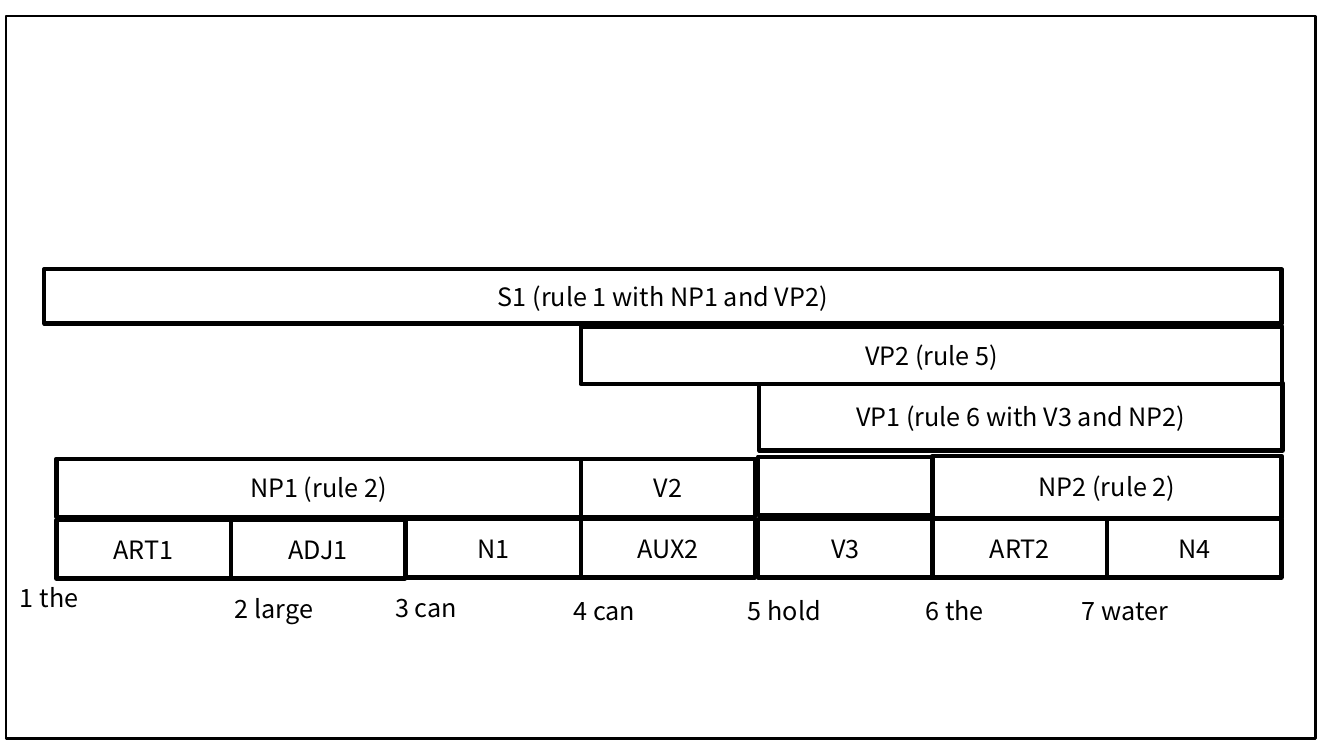
from pptx import Presentation
from pptx.dml.color import RGBColor
from pptx.enum.shapes import MSO_SHAPE
from pptx.enum.text import MSO_ANCHOR, PP_ALIGN
from pptx.util import Inches, Pt

RECTANGLE = MSO_SHAPE.RECTANGLE
MIDDLE = MSO_ANCHOR.MIDDLE
CENTER = PP_ALIGN.CENTER
BLACK = RGBColor.from_string("000000")
WHITE = RGBColor.from_string("FFFFFF")
FONT = "Noto Sans CJK KR"

prs = Presentation()
prs.slide_width = Inches(13.33)
prs.slide_height = Inches(7.5)
slide = prs.slides.add_slide(prs.slide_layouts[6])


def write(frame, text):
    paragraph = frame.paragraphs[0]
    paragraph.text = text
    font = paragraph.runs[0].font
    font.name, font.size = FONT, Pt(18)
    font.color.rgb = BLACK
    return paragraph


def add_box(left, top, width, height, line_width):
    box = slide.shapes.add_shape(RECTANGLE, Inches(left), Inches(top),
                                 Inches(width), Inches(height))
    box.shadow.inherit = False
    box.line.color.rgb = BLACK
    box.line.width = Pt(line_width)
    return box


border = add_box(0.06, 0.16, 12.99, 7.17, 2)
border.fill.background()

# Chart constituents: label, left, top, width, height
CELL_WIDTH, CELL_HEIGHT = 1.73, 0.58
lexical_cells = [("ART1", 0.56, 5.16), ("ADJ1", 2.29, 5.16), ("N1", 4.03, 5.15),
                 ("AUX2", 5.76, 5.15), ("V3", 7.52, 5.15), ("ART2", 9.25, 5.15),
                 ("N4", 10.98, 5.15), ("V2", 5.76, 4.55)]
constituents = [(*cell, CELL_WIDTH, CELL_HEIGHT) for cell in lexical_cells]
constituents += [
    ("NP2 (rule 2)", 9.25, 4.52, 3.46, 0.62),
    ("", 7.52, 4.53, CELL_WIDTH, CELL_HEIGHT),
    ("NP1 (rule 2)", 0.56, 4.55, 5.2, CELL_HEIGHT),
    ("VP1 (rule 6 with V3 and NP2)", 7.53, 3.8, 5.19, 0.67),
    ("VP2 (rule 5)", 5.76, 3.24, 6.96, 0.57),
    ("S1 (rule 1 with NP1 and VP2)", 0.44, 2.67, 12.27, 0.54),
]
for label, left, top, width, height in constituents:
    constituent = add_box(left, top, width, height, 3)
    constituent.fill.solid()
    constituent.fill.fore_color.rgb = WHITE
    if label:
        constituent.text_frame.vertical_anchor = MIDDLE
        write(constituent.text_frame, label).alignment = CENTER

# Numbered words of the sentence: text, left, top, width
words = [("1 the", 0.1, 5.73, 0.84), ("2 large", 2.23, 5.84, 1.21),
         ("3 can", 3.82, 5.83, 0.88), ("4 can", 5.59, 5.86, 1.04),
         ("5 hold", 7.32, 5.86, 1.04), ("6 the", 9.08, 5.86, 0.92),
         ("7 water", 10.63, 5.86, 1.73)]
for text, left, top, width in words:
    word = slide.shapes.add_textbox(Inches(left), Inches(top), Inches(width), Inches(0.4))
    word.text_frame.word_wrap = True
    write(word.text_frame, text)

prs.save("out.pptx")
